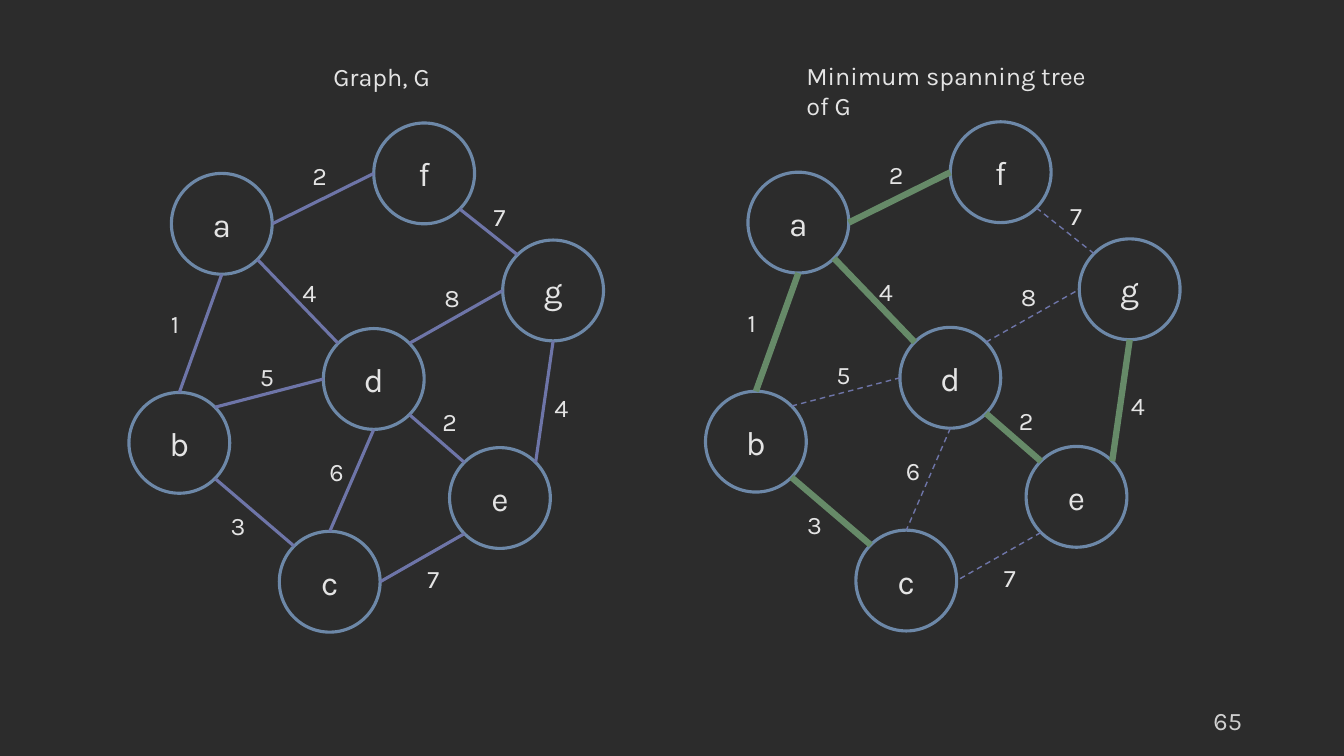
"""Build a slide that shows a weighted graph beside its minimum spanning tree."""
from math import sqrt

from lxml.etree import SubElement
from pptx import Presentation
from pptx.dml.color import RGBColor
from pptx.enum.dml import MSO_LINE
from pptx.enum.shapes import MSO_CONNECTOR, MSO_SHAPE
from pptx.enum.text import MSO_ANCHOR, MSO_AUTO_SIZE, PP_ALIGN
from pptx.oxml.ns import qn
from pptx.util import Cm, Pt

BACKGROUND = RGBColor(0x2C, 0x2C, 0x2C)
TEXT = RGBColor(0xE4, 0xE4, 0xE4)
PAGE_NUMBER = RGBColor(0xD1, 0xD1, 0xD1)
NODE_LINE = RGBColor(0x6D, 0x88, 0xA8)
EDGE = RGBColor(0x6E, 0x75, 0xA8)
TREE_EDGE = RGBColor(0x66, 0x8A, 0x68)

RADIUS = 1.27
DIAGONAL = 1 / sqrt(2)
SIDES = {
    "top": (0, -1), "bottom": (0, 1), "left": (-1, 0), "right": (1, 0),
    "top left": (-DIAGONAL, -DIAGONAL), "top right": (DIAGONAL, -DIAGONAL),
    "bottom left": (-DIAGONAL, DIAGONAL), "bottom right": (DIAGONAL, DIAGONAL),
}
NODE_CENTERS = {
    "c": (8.31, 14.66), "b": (4.52, 11.16), "d": (9.42, 9.55), "a": (5.59, 5.64),
    "f": (10.69, 4.37), "e": (12.6, 12.55), "g": (13.94, 7.32),
}
EDGES = [
    ("a", "bottom", "b", "top", "1", (4.06, 7.65), True),
    ("a", "right", "f", "left", "2", (7.62, 3.91), True),
    ("g", "top left", "f", "bottom right", "7", (12.19, 4.95), False),
    ("g", "bottom", "e", "top right", "4", (13.72, 9.75), True),
    ("e", "bottom left", "c", "right", "7", (10.52, 14.07), False),
    ("b", "bottom right", "c", "top left", "3", (5.56, 12.73), True),
    ("a", "bottom right", "d", "top left", "4", (7.37, 6.86), True),
    ("b", "top right", "d", "left", "5", (6.3, 8.97), False),
    ("d", "bottom right", "e", "top left", "2", (10.9, 10.11), True),
    ("d", "top right", "g", "left", "8", (10.95, 6.99), False),
    ("d", "bottom", "c", "top", "6", (8.05, 11.38), False),
]
GRAPHS = [
    ("Graph, G", (8.15, 1.42, 2.97), False, 0, 0, False),
    ("Minimum spanning tree of G", (20.07, 1.4, 8.26), True, 14.53, -0.03, True),
]


def write(shape, text, size, color, alignment):
    """Put one formatted line of text in a shape."""
    shape.text_frame.text = text
    paragraph = shape.text_frame.paragraphs[0]
    paragraph.alignment = alignment
    font = paragraph.runs[0].font
    font.name = "Karla"
    font.size = Pt(size)
    font.color.rgb = color


def add_label(shapes, text, left, top, width, wrap=False):
    """Add a left-aligned text box that grows with its text."""
    label = shapes.add_textbox(Cm(left), Cm(top), Cm(width), Cm(1.02))
    label.text_frame.word_wrap = wrap
    label.text_frame.auto_size = MSO_AUTO_SIZE.SHAPE_TO_FIT_TEXT
    write(label, text, 18, TEXT, PP_ALIGN.LEFT)


presentation = Presentation()
presentation.slide_width = Cm(33.87)
presentation.slide_height = Cm(19.05)
slide = presentation.slides.add_slide(presentation.slide_layouts[6])
slide.background.fill.solid()
slide.background.fill.fore_color.rgb = BACKGROUND

page_number = slide.shapes.add_textbox(Cm(23.93), Cm(17.65), Cm(7.62), Cm(1.02))
page_number.text_frame.word_wrap = True
page_number.text_frame.vertical_anchor = MSO_ANCHOR.MIDDLE
write(page_number, "65", 18, PAGE_NUMBER, PP_ALIGN.RIGHT)

for title, title_place, title_wraps, shift_x, shift_y, shows_tree in GRAPHS:
    add_label(slide.shapes, title, *title_place, wrap=title_wraps)
    graph = slide.shapes.add_group_shape().shapes

    for name, (x, y) in NODE_CENTERS.items():
        node = graph.add_shape(
            MSO_SHAPE.OVAL, Cm(x + shift_x - RADIUS), Cm(y + shift_y - RADIUS),
            Cm(2 * RADIUS), Cm(2 * RADIUS))
        node.shadow.inherit = False
        node.fill.background()
        node.line.color.rgb = NODE_LINE
        node.line.width = Pt(2.25)
        node.text_frame.vertical_anchor = MSO_ANCHOR.MIDDLE
        write(node, name, 24, TEXT, PP_ALIGN.CENTER)

    for start, start_side, end, end_side, weight, weight_place, in_tree in EDGES:
        points = []
        for name, side in ((start, start_side), (end, end_side)):
            for center, direction, shift in zip(
                    NODE_CENTERS[name], SIDES[side], (shift_x, shift_y)):
                points.append(Cm(center + RADIUS * direction + shift))
        edge = graph.add_connector(MSO_CONNECTOR.STRAIGHT, *points)
        SubElement(edge._element.spPr, qn("a:effectLst"))
        edge.line.color.rgb = TREE_EDGE if shows_tree and in_tree else EDGE
        if not shows_tree:
            edge.line.width = Pt(2.25)
        elif in_tree:
            edge.line.width = Pt(4.5)
        else:
            edge.line.width = Pt(1)
            edge.line.dash_style = MSO_LINE.DASH

    for *_, weight, (left, top), in_tree in EDGES:
        add_label(graph, weight, left + shift_x, top + shift_y, 0.86)

presentation.save("out.pptx")
